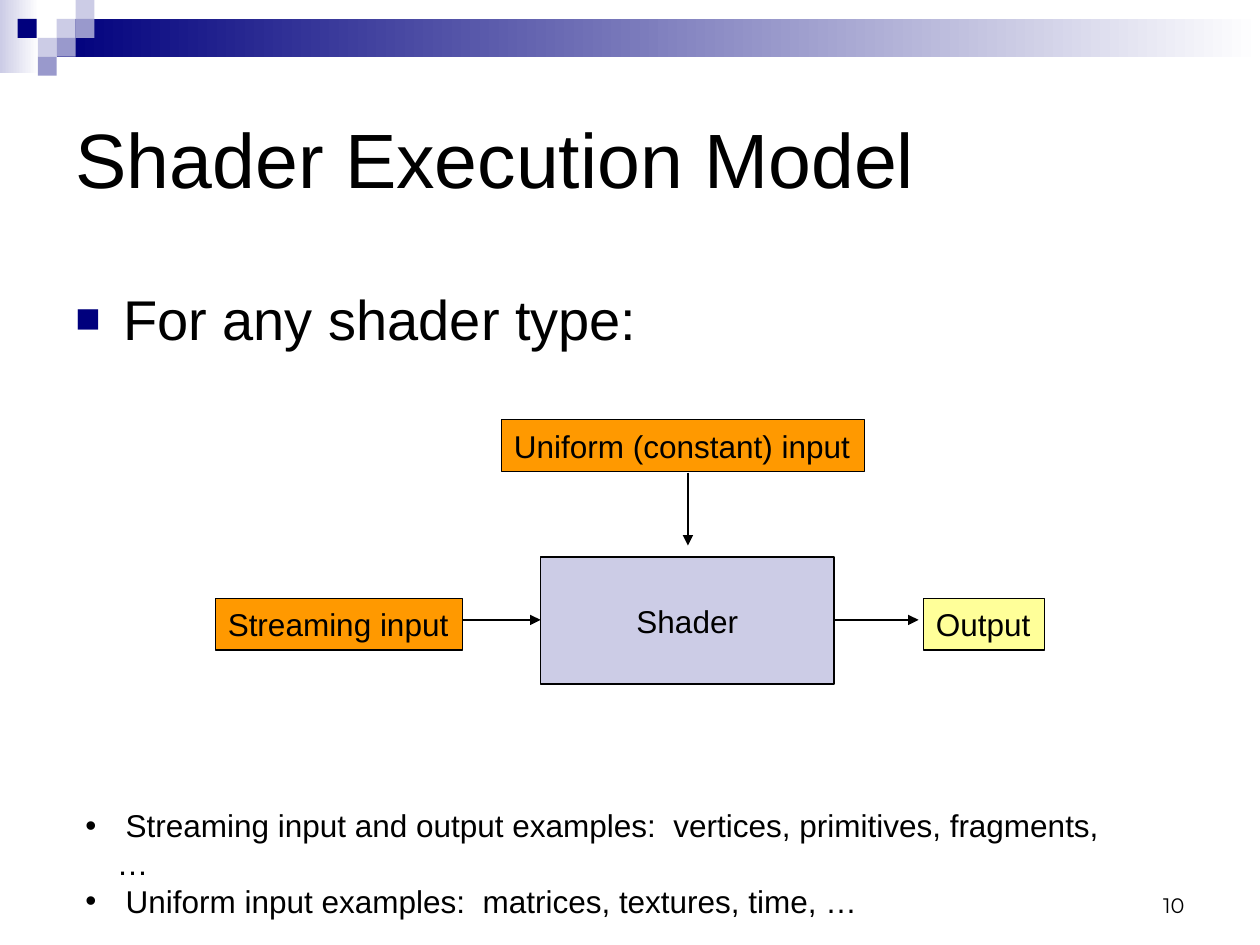
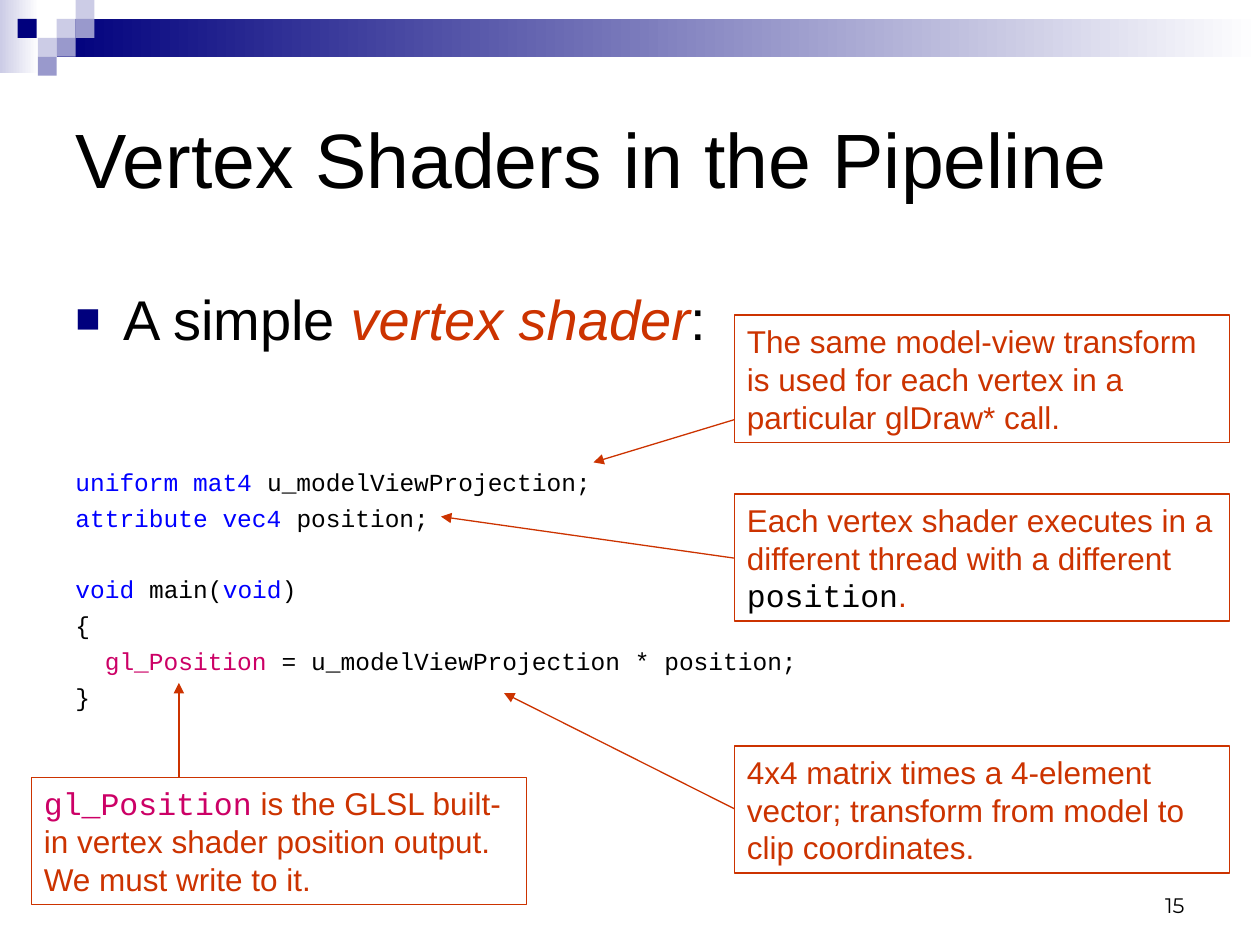
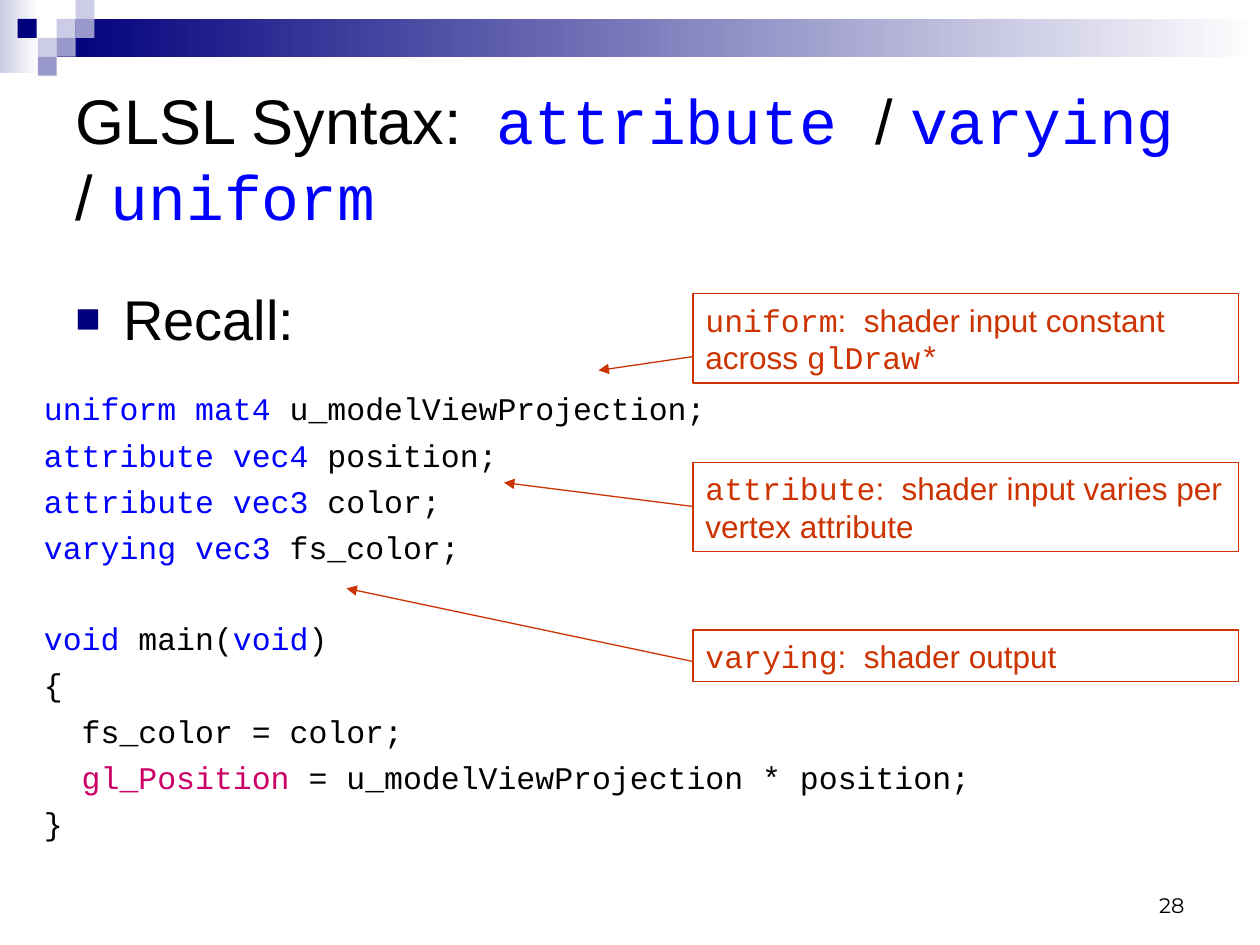
from lxml import etree
from pptx import Presentation
from pptx.dml.color import RGBColor
from pptx.enum.shapes import MSO_CONNECTOR, MSO_SHAPE
from pptx.enum.text import MSO_ANCHOR, MSO_AUTO_SIZE, PP_ALIGN
from pptx.oxml.ns import qn
from pptx.util import Inches, Pt

SANS, MONO, NUMBER_FONT = "Arial", "Courier New", "Montserrat"
BLACK, WHITE, NAVY, PERIWINKLE, LAVENDER = "000000", "FFFFFF", "00007D", "9999CC", "CCCCE6"
ORANGE, YELLOW, RED, BLUE, MAGENTA = "FF9900", "FFFF99", "CC3300", "0000FF", "CC0066"
KEYWORD = {"font": MONO, "color": BLUE}
BUILT_IN = "gl_"
TILE = 0.15
TILES = [
    (0.45, 0.15, LAVENDER), (0.6, 0, LAVENDER), (0.6, 0.15, PERIWINKLE), (0.3, 0.3, LAVENDER),
    (0.14, 0.15, NAVY), (0.45, 0.3, PERIWINKLE), (0.3, 0.45, PERIWINKLE),
]


def rgb(value):
    """Turn a hex string into a colour."""
    return RGBColor.from_string(value)


def box_of(x, y, w, h):
    """Turn four numbers into lengths in inches."""
    return [Inches(v) for v in (x, y, w, h)]


def add_text(p, text, size=18, font=SANS, color=BLACK, italic=False, align=PP_ALIGN.LEFT, alt=None):
    """Fill a paragraph; pieces between bars take the alternative format."""
    p.alignment = align
    for i, piece in enumerate(text.split("|")):
        if not piece:
            continue
        fmt = {"font": font, "color": color, "italic": italic}
        if i % 2:
            fmt.update(alt or {})
            if piece.startswith(BUILT_IN):
                fmt["color"] = MAGENTA
        r = p.add_run()
        r.text = piece
        r.font.size, r.font.name, r.font.italic = Pt(size), fmt["font"], fmt["italic"]
        r.font.color.rgb = rgb(fmt["color"])


def set_bullet(p, char, indent, color=BLACK, percent=100):
    """Give a paragraph a hanging bullet."""
    pPr = p._p.get_or_add_pPr()
    pPr.set("marL", str(Inches(indent)))
    pPr.set("indent", str(-Inches(indent)))
    clr = etree.SubElement(pPr, qn("a:buClr"))
    etree.SubElement(clr, qn("a:srgbClr"), val=color)
    etree.SubElement(pPr, qn("a:buSzPct"), val=str(percent * 1000))
    etree.SubElement(pPr, qn("a:buFont"), typeface=SANS)
    etree.SubElement(pPr, qn("a:buChar"), char=char)


def add_frame(slide, x, y, w, h):
    """Add a wrapping text box and return its text frame."""
    tf = slide.shapes.add_textbox(*box_of(x, y, w, h)).text_frame
    tf.word_wrap = True
    return tf


def add_rect(slide, x, y, w, h, fill=None, line=None, fade=False):
    """Add a rectangle, plain or fading to white."""
    sp = slide.shapes.add_shape(MSO_SHAPE.RECTANGLE, *box_of(x, y, w, h))
    sp.shadow.inherit = False
    if fade:
        sp.fill.gradient()
        sp.fill.gradient_angle = 0
        for stop, color in zip(sp.fill.gradient_stops, (fill, WHITE)):
            stop.color.rgb = rgb(color)
    elif fill:
        sp.fill.solid()
        sp.fill.fore_color.rgb = rgb(fill)
    else:
        sp.fill.background()
    if line:
        sp.line.color.rgb = rgb(line)
        sp.line.width = Pt(0.75)
    else:
        sp.line.fill.background()
    return sp


def add_arrow(slide, start, tip, color=BLACK):
    """Draw a thin arrow between two points."""
    c = slide.shapes.add_connector(MSO_CONNECTOR.STRAIGHT, *box_of(*start, *tip))
    c.line.color.rgb = rgb(color)
    c.line.width = Pt(0.75)
    etree.SubElement(c.line._get_or_add_ln(), qn("a:tailEnd"), type="triangle")
    etree.SubElement(c._element.spPr, qn("a:effectLst"))


def add_box(slide, x, y, w, h, text, fill=None, line=BLACK, wrap=True, **fmt):
    """Add an outlined rectangle with text."""
    tf = add_rect(slide, x, y, w, h, fill, line).text_frame
    tf.word_wrap = wrap
    tf.vertical_anchor = MSO_ANCHOR.MIDDLE
    add_text(tf.paragraphs[0], text, **fmt)


def decorate_master(prs, slide):
    """Build the header band and tiles and move them to the master."""
    parts = [
        add_rect(slide, 0, 0, 0.31, 0.58, LAVENDER, fade=True),
        add_rect(slide, 0.45, 0.15, 9.55, 0.3, NAVY, fade=True),
    ]
    parts += [add_rect(slide, x, y, TILE, TILE, color) for x, y, color in TILES]
    for i, sp in enumerate(parts, 100):
        sp.element.nvSpPr.cNvPr.set("id", str(i))
        prs.slide_master.shapes.element.append(sp.element)


def new_slide(prs, title, lead, number, size=44, lead_alt=None):
    """Add a slide with its title, lead bullet and number."""
    slide = prs.slides.add_slide(prs.slide_layouts[5])
    sp = slide.shapes.title
    sp.left, sp.top, sp.width, sp.height = box_of(0.5, 0.5, 9, 1.5)
    tf = sp.text_frame
    tf.auto_size = MSO_AUTO_SIZE.NONE
    tf.vertical_anchor = MSO_ANCHOR.MIDDLE
    add_text(tf.paragraphs[0], title, size=size, alt=KEYWORD)
    p = add_frame(slide, 0.5, 2.21, 9, 0.67).paragraphs[0]
    add_text(p, lead, size=32, alt=lead_alt)
    set_bullet(p, "■", 0.38, NAVY, 75)
    tf = add_frame(slide, 7.17, 6.83, 2.33, 0.5)
    tf.vertical_anchor = MSO_ANCHOR.BOTTOM
    add_text(tf.paragraphs[0], str(number), size=12, font=NUMBER_FONT, align=PP_ALIGN.RIGHT)
    return slide


def add_code(slide, x, y, w, h, blocks, size):
    """Set blocks of code with a line's gap between them."""
    tf = add_frame(slide, x, y, w, h)
    p = tf.paragraphs[0]
    for b, block in enumerate(blocks):
        for i, line in enumerate(block):
            if b or i:
                p = tf.add_paragraph()
                p.space_before = Pt(round(size * (0.27 if i else 1.67), 1))
            code = line.lstrip()
            if code != line:
                p._p.get_or_add_pPr().set("marL", str(Pt(size * 1.2)))
            add_text(p, code, size=size, font=MONO, alt=KEYWORD)


def add_callout(slide, x, y, w, lines, text, start, tip, alt=None):
    """Add a red note and an arrow, its ends relative to the note's corner."""
    add_box(slide, x, y, w, 0.11 + 0.3 * lines, text, line=RED, color=RED, alt=alt)
    ends = [(x + dx, y + dy) for dx, dy in (start, tip)]
    add_arrow(slide, *ends, color=RED)


def add_flow(slide, x, y):
    """Draw the shader with its inputs and output."""
    for start, tip in [((1.91, 1.59), (2.58, 1.59)), ((4.91, 1.59), (5.58, 1.59)),
                       ((3.75, 0.42), (3.75, 1))]:
        add_arrow(slide, (x + start[0], y + start[1]), (x + tip[0], y + tip[1]))
    add_box(slide, x + 2.58, y + 1.09, 2.33, 1.01, "Shader", LAVENDER, align=PP_ALIGN.CENTER)
    for dx, dy, w, text, fill in [
        (0, 1.42, 1.96, "Streaming input", ORANGE),
        (5.62, 1.42, 0.96, "Output", YELLOW),
        (2.27, 0, 2.88, "Uniform (constant) input", ORANGE),
    ]:
        add_box(slide, x + dx, y + dy, w, 0.41, text, fill, wrap=False)


def add_examples(slide, x, y, w, h, items):
    """List examples with round bullets."""
    tf = add_frame(slide, x, y, w, h)
    for i, item in enumerate(items):
        p = tf.add_paragraph() if i else tf.paragraphs[0]
        add_text(p, item)
        set_bullet(p, "•", 0.25)


def execution_slide(prs):
    """Build the execution model slide."""
    slide = new_slide(prs, "Shader Execution Model", "For any shader type:", 10)
    add_flow(slide, 1.71, 3.33)
    add_examples(slide, 0.58, 6.35, 8.4, 1, [
        " Streaming input and output examples:  vertices, primitives, fragments, …",
        " Uniform input examples:  matrices, textures, time, …",
    ])
    return slide


def vertex_slide(prs):
    """Build the vertex shader slide."""
    slide = new_slide(prs, "Vertex Shaders in the Pipeline", "A simple |vertex shader|:", 15,
                      lead_alt={"color": RED, "italic": True})
    add_code(slide, 0.5, 3.66, 9.25, 2.2, [
        ["|uniform mat4 |u_modelViewProjection;", "|attribute vec4| position;"],
        ["|void| main(|void|)", "{", "  |gl_Position| = u_modelViewProjection * position;", "}"],
    ], 14)
    for x, y, text, start, tip in [
        (5.83, 2.5, "The same model-view transform is used for each vertex in a particular "
         "glDraw* call.", (0, 0.83), (-1.12, 1.17)),
        (5.83, 3.92, "Each vertex shader executes in a different thread with a different "
         "|position|.", (0, 0.51), (-2.33, 0.18)),
        (0.25, 6.17, "|gl_Position| is the GLSL built-in vertex shader position output.  "
         "We must write to it.", (1.17, 0), (1.17, -0.75)),
        (5.83, 5.92, "4x4 matrix times a 4-element vector; transform from model to clip "
         "coordinates.", (0, 0.5), (-1.83, -0.42)),
    ]:
        add_callout(slide, x, y, 3.93, 3, text, start, tip, {"font": MONO, "color": BLACK})


def syntax_slide(prs):
    """Build the GLSL qualifiers slide."""
    slide = new_slide(prs, "GLSL Syntax:  |attribute |/ |varying |/ |uniform", "Recall:", 28, 36)
    add_code(slide, 0.25, 3.04, 9.25, 3.7, [
        ["|uniform mat4 |u_modelViewProjection;", "|attribute vec4 |position;",
         "|attribute vec3| color;", "|varying vec3 |fs_color;"],
        ["|void| main(|void|)", "{", "  fs_color = color;",
         "  |gl_Position| = u_modelViewProjection * position;", "}"],
    ], 18)
    for y, lines, text, start, tip in [
        (2.33, 2, "|uniform|:  shader input constant across |glDraw*", (0, 0.5), (-0.75, 0.61)),
        (3.67, 2, "|attribute|:  shader input varies per vertex attribute",
         (0, 0.35), (-1.5, 0.16)),
        (5, 1, "|varying|:  shader output", (0, 0.25), (-2.75, -0.33)),
    ]:
        add_callout(slide, 5.5, y, 4.33, lines, text, start, tip, {"font": MONO})


def main():
    """Build the three slides and save them."""
    prs = Presentation()
    prs.slide_width, prs.slide_height = Inches(10), Inches(7.5)
    decorate_master(prs, execution_slide(prs))
    vertex_slide(prs)
    syntax_slide(prs)
    prs.save("out.pptx")


if __name__ == "__main__":
    main()
